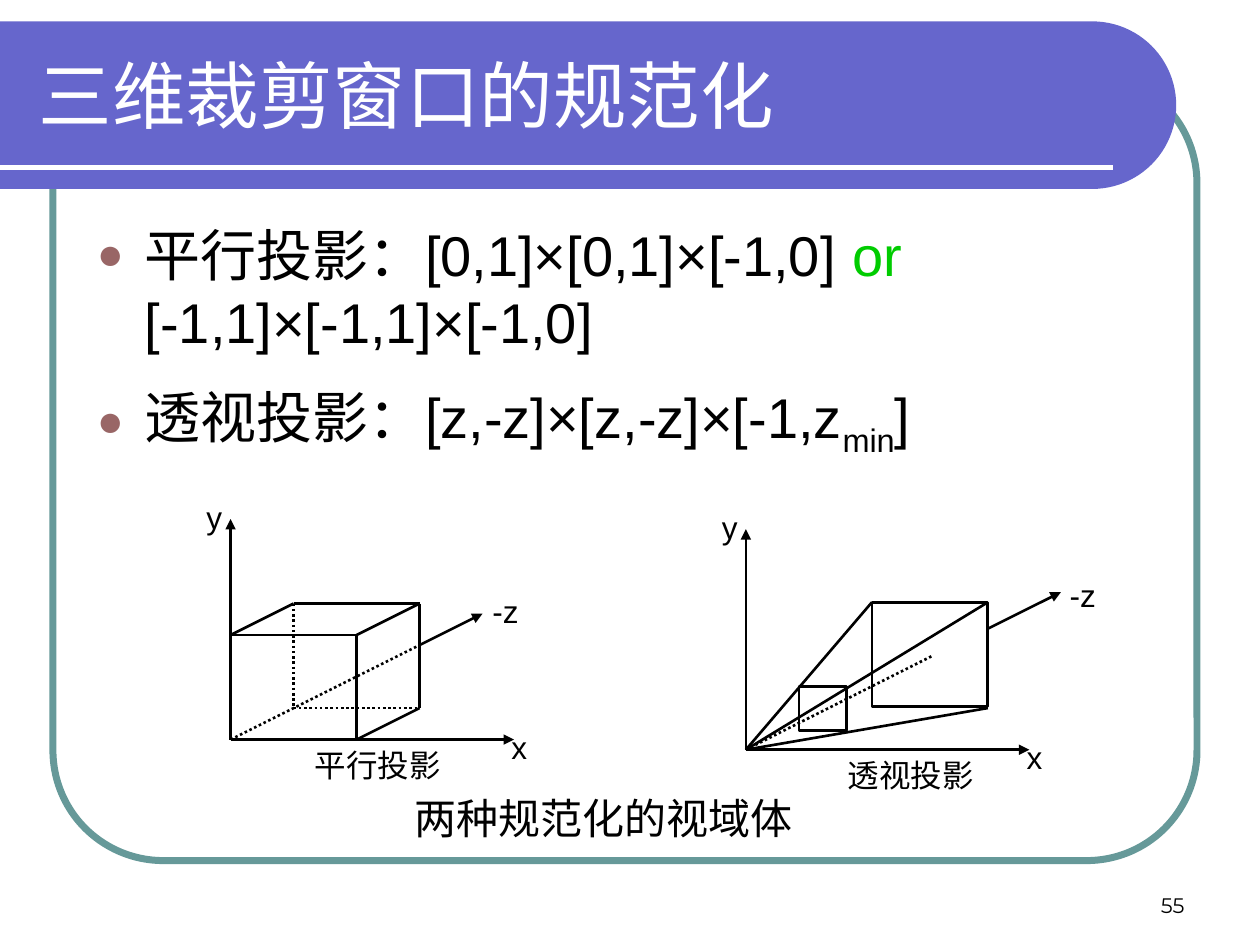
from math import cos, pi, sin
from typing import NamedTuple

from lxml.etree import SubElement
from pptx import Presentation
from pptx.dml.color import RGBColor
from pptx.enum.dml import MSO_LINE_DASH_STYLE as Dash
from pptx.enum.shapes import MSO_CONNECTOR, MSO_SHAPE
from pptx.enum.text import MSO_ANCHOR as Anchor, PP_ALIGN as Align
from pptx.oxml.ns import qn
from pptx.util import Inches, Pt

BLACK = RGBColor(0x00, 0x00, 0x00)
WHITE = RGBColor(0xFF, 0xFF, 0xFF)
PURPLE = RGBColor(0x66, 0x66, 0xCC)
TEAL = RGBColor(0x66, 0x99, 0x99)
GREEN = RGBColor(0x00, 0xCC, 0x00)
BULLET_COLOR = "996666"

Point = tuple[float, float]


class Box(NamedTuple):
    left: float
    top: float
    width: float
    height: float


class Edge(NamedTuple):
    start: Point
    end: Point
    dotted: bool = False
    arrow: bool = False


class Label(NamedTuple):
    text: str
    box: Box
    size: float = 18
    color: RGBColor = BLACK
    font: str = "Arial"
    wrap: bool = False
    anchor: Anchor = Anchor.TOP
    align: Align = Align.LEFT


class Run(NamedTuple):
    text: str
    color: RGBColor = BLACK
    baseline: int = 0


class Figure(NamedTuple):
    origin: Point
    depth_label: Point
    caption: str
    caption_left: float
    edges: list[Edge]
    rectangles: list[Box]


def box_edges(x0: float, y0: float, width: float, height: float, shift: Point) -> list[Edge]:
    """Edges of an oblique box that the two axes do not already cover."""
    x1, y1 = x0 + width, y0 - height
    dx, dy = shift
    front_top_left, front_top_right, front_low_right = (x0, y1), (x1, y1), (x1, y0)
    back_top_left, back_top_right = (x0 + dx, y1 - dy), (x1 + dx, y1 - dy)
    back_low_left, back_low_right = (x0 + dx, y0 - dy), (x1 + dx, y0 - dy)
    return [
        Edge(front_top_left, front_top_right),
        Edge(front_top_right, front_low_right),
        Edge(front_top_left, back_top_left),
        Edge(back_top_left, back_top_right),
        Edge(front_top_right, back_top_right),
        Edge(back_top_right, back_low_right),
        Edge(front_low_right, back_low_right),
        Edge(back_top_left, back_low_left, dotted=True),
        Edge(back_low_left, back_low_right, dotted=True),
    ]


PARALLEL_ORIGIN = (1.83, 5.87)
DEPTH_EXIT = (3.33, 5.12)
EYE = (5.92, 5.95)

FIGURES = [
    Figure(
        PARALLEL_ORIGIN, (3.81, 4.65), "平行投影", 2.4,
        box_edges(*PARALLEL_ORIGIN, 1, 0.83, (0.5, 0.25)) + [
            Edge(PARALLEL_ORIGIN, DEPTH_EXIT, dotted=True),
            Edge(DEPTH_EXIT, (3.83, 4.87), arrow=True),
        ],
        [],
    ),
    Figure(
        EYE, (8.39, 4.52), "透视投影", 6.63,
        [
            Edge(EYE, (7.41, 5.2), dotted=True),
            *(Edge(EYE, corner) for corner in [(6.92, 4.78), (7.84, 4.78), (7.84, 5.62)]),
            Edge((7.84, 4.99), (8.42, 4.7), arrow=True),
        ],
        [Box(6.34, 5.45, 0.38, 0.35), Box(6.92, 4.78, 0.92, 0.83)],
    ),
]

TITLE = Label("三维裁剪窗口的规范化", Box(0.21, 0.25, 8.77, 1), 42, WHITE,
              wrap=True, anchor=Anchor.MIDDLE)
SUMMARY = Label("两种规范化的视域体", Box(3.19, 6.24, 3.2, 0.5), 24)
PAGE_NUMBER = Label("55", Box(7.17, 6.83, 2.33, 0.5), 12, font="Montserrat",
                    wrap=True, anchor=Anchor.BOTTOM, align=Align.RIGHT)

BULLETS = [
    [Run("平行投影：[0,1]×[0,1]×[-1,0] "), Run("or", GREEN), Run(" [-1,1]×[-1,1]×[-1,0]")],
    [Run("透视投影：[z,-z]×[z,-z]×[-1,z"), Run("min", baseline=-25000), Run("]")],
]


def set_values(target, values: dict) -> None:
    for name, value in values.items():
        setattr(target, name, value)


def add_line(slide, edge: Edge, color: RGBColor = BLACK, width: float = 1.5) -> None:
    ends = [Inches(value) for value in (*edge.start, *edge.end)]
    connector = slide.shapes.add_connector(MSO_CONNECTOR.STRAIGHT, *ends)
    connector.line.color.rgb = color
    connector.line.width = Pt(width)
    if edge.dotted:
        connector.line.dash_style = Dash.ROUND_DOT
    if edge.arrow:
        SubElement(connector.line._get_or_add_ln(), qn("a:tailEnd"), type="triangle")
    SubElement(connector._element.spPr, qn("a:effectLst"))


def add_outline(slide, kind: MSO_SHAPE, box: Box, color: RGBColor, width: float):
    shape = slide.shapes.add_shape(kind, *map(Inches, box))
    shape.shadow.inherit = False
    shape.fill.background()
    shape.line.color.rgb = color
    shape.line.width = Pt(width)
    return shape


def add_label(slide, label: Label) -> None:
    frame = slide.shapes.add_textbox(*map(Inches, label.box)).text_frame
    set_values(frame, {"word_wrap": label.wrap, "vertical_anchor": label.anchor})
    paragraph = frame.paragraphs[0]
    paragraph.alignment = label.align
    run = paragraph.add_run()
    run.text = label.text
    set_values(run.font, {"size": Pt(label.size), "name": label.font})
    run.font.color.rgb = label.color


def add_banner(slide) -> None:
    """Title band with a semicircular right end."""
    top, radius, center_x, steps = 0.17, 0.665, 8.67, 48
    center_y = top + radius
    angles = [pi * (step / steps - 0.5) for step in range(steps + 1)]
    arc = [(Inches(center_x + radius * cos(angle)), Inches(center_y + radius * sin(angle)))
           for angle in angles]
    builder = slide.shapes.build_freeform(0, Inches(top))
    builder.add_line_segments([*arc, (0, Inches(top + 2 * radius))], close=True)
    banner = builder.convert_to_shape()
    banner.shadow.inherit = False
    banner.fill.solid()
    banner.fill.fore_color.rgb = PURPLE
    banner.line.fill.background()


def add_bullets(slide) -> None:
    frame = slide.shapes.add_textbox(*map(Inches, Box(0.67, 1.7, 8.51, 4.88))).text_frame
    frame.word_wrap = True
    for index, runs in enumerate(BULLETS):
        paragraph = frame.add_paragraph() if index else frame.paragraphs[0]
        properties = paragraph._p.get_or_add_pPr()
        set_values(paragraph, {"space_before": Pt(16 if index else 0)})
        properties.set("marL", str(Inches(0.38)))
        properties.set("indent", str(Inches(-0.38)))
        bullet_color = SubElement(properties, qn("a:buClr"))
        SubElement(bullet_color, qn("a:srgbClr"), val=BULLET_COLOR)
        SubElement(properties, qn("a:buSzPct"), val="80000")
        SubElement(properties, qn("a:buFont"), typeface="Arial")
        SubElement(properties, qn("a:buChar"), char="●")
        for part in runs:
            run = paragraph.add_run()
            run.text = part.text
            set_values(run.font, {"size": Pt(32), "name": "Arial"})
            run.font.color.rgb = part.color
            if part.baseline:
                run.font._element.set("baseline", str(part.baseline))


def add_figure(slide, figure: Figure) -> None:
    x, y = figure.origin
    axes = [Edge(figure.origin, end, arrow=True) for end in [(x, y - 1.75), (x + 2.25, y)]]
    for edge in axes + figure.edges:
        add_line(slide, edge)
    for box in figure.rectangles:
        add_outline(slide, MSO_SHAPE.RECTANGLE, box, BLACK, 1.5)
    for text, left, top, width in [
        ("y", x - 0.29, y - 1.97, 0.32),
        ("x", x + 2.13, y - 0.14, 0.32),
        ("-z", *figure.depth_label, 0.41),
        (figure.caption, figure.caption_left, y, 1.2),
    ]:
        add_label(slide, Label(text, Box(left, top, width, 0.4)))


def main() -> None:
    presentation = Presentation()
    set_values(presentation, {"slide_width": Inches(10), "slide_height": Inches(7.5)})
    slide = presentation.slides.add_slide(presentation.slide_layouts[6])
    frame = add_outline(slide, MSO_SHAPE.ROUNDED_RECTANGLE, Box(0.42, 0.58, 9.08, 6.25), TEAL, 4)
    frame.adjustments[0] = 0.14
    add_banner(slide)
    add_line(slide, Edge((0, 1.33), (8.83, 1.33)), WHITE, 3)
    for figure in FIGURES:
        add_figure(slide, figure)
    add_bullets(slide)
    for label in (TITLE, SUMMARY, PAGE_NUMBER):
        add_label(slide, label)
    presentation.save("out.pptx")


if __name__ == "__main__":
    main()
